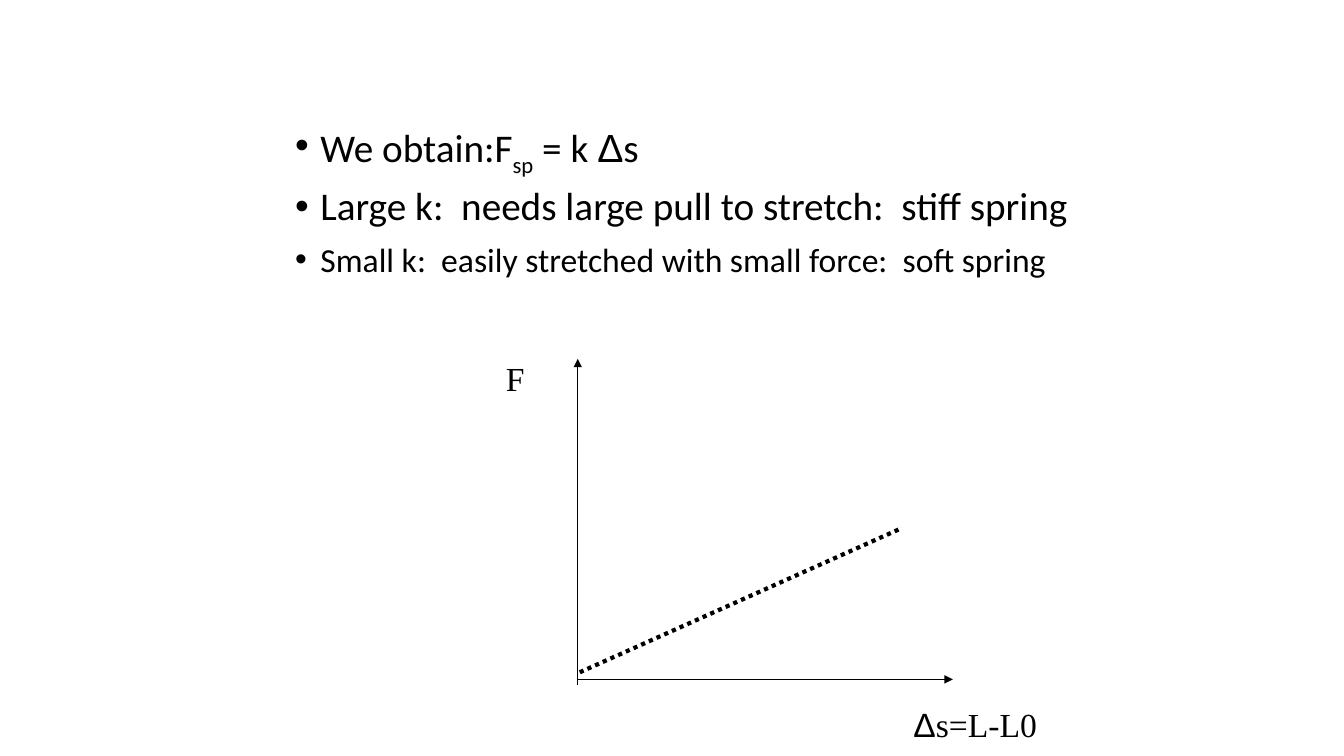
from dataclasses import dataclass

from lxml.etree import SubElement
from pptx import Presentation
from pptx.dml.color import RGBColor
from pptx.enum.dml import MSO_LINE
from pptx.enum.shapes import MSO_CONNECTOR, MSO_SHAPE
from pptx.enum.text import MSO_ANCHOR, PP_ALIGN
from pptx.oxml.ns import qn
from pptx.util import Inches, Pt


@dataclass(frozen=True)
class Theme:
    ink: RGBColor = RGBColor(0, 0, 0)
    paper: RGBColor = RGBColor(255, 255, 255)
    body_font: str = "Calibri"
    symbol_font: str = "Arial"
    label_font: str = "Times New Roman"
    large: int = 28
    medium: int = 24
    axis_width: float = 0.75
    graph_width: float = 3


def add_text(paragraph, text, *, font, size, color, baseline=None):
    """Append a formatted run; baseline is a percentage, negative for subscript."""
    run = paragraph.add_run()
    run.text = text
    run.font.name = font
    run.font.size = Pt(size)
    run.font.color.rgb = color
    if baseline is not None:
        run.font._element.set("baseline", str(baseline * 1000))


class SlideBuilder:
    def __init__(self, slide, theme):
        self.slide = slide
        self.theme = theme

    def bullets(self, items, left, top, width, height):
        """Add a bulleted list; each item is (size, [(text, font, baseline), ...])."""
        box = self.slide.shapes.add_textbox(
            Inches(left), Inches(top), Inches(width), Inches(height))
        frame = box.text_frame
        frame.word_wrap = True
        for index, (size, parts) in enumerate(items):
            paragraph = frame.add_paragraph() if index else frame.paragraphs[0]
            paragraph.line_spacing = 0.9
            paragraph.space_before = Pt(10)
            properties = paragraph._p.get_or_add_pPr()
            properties.set("marL", str(Inches(0.25)))
            properties.set("indent", str(Inches(-0.25)))
            SubElement(properties, qn("a:buFont"), typeface=self.theme.symbol_font)
            SubElement(properties, qn("a:buChar"), char="•")
            for text, font, baseline in parts:
                add_text(paragraph, text, font=font, size=size,
                         color=self.theme.ink, baseline=baseline)

    def label(self, parts, left, top, width, height):
        """Add an axis label; parts are (text, font) pairs."""
        shape = self.slide.shapes.add_shape(
            MSO_SHAPE.RECTANGLE, Inches(left), Inches(top), Inches(width), Inches(height))
        shape.shadow.inherit = False
        shape.fill.solid()
        shape.fill.fore_color.rgb = self.theme.paper
        shape.line.fill.background()
        frame = shape.text_frame
        frame.word_wrap = True
        frame.vertical_anchor = MSO_ANCHOR.TOP
        paragraph = frame.paragraphs[0]
        paragraph.alignment = PP_ALIGN.LEFT
        for text, font in parts:
            add_text(paragraph, text, font=font, size=self.theme.medium,
                     color=self.theme.ink)

    def line(self, start, end, width, dash=None, arrow=False):
        connector = self.slide.shapes.add_connector(
            MSO_CONNECTOR.STRAIGHT, *map(Inches, start + end))
        connector.line.color.rgb = self.theme.ink
        connector.line.width = Pt(width)
        if dash is not None:
            connector.line.dash_style = dash
        if arrow:
            SubElement(connector.line._get_or_add_ln(), qn("a:tailEnd"), type="triangle")
        SubElement(connector._element.spPr, qn("a:effectLst"))


def main():
    presentation = Presentation()
    presentation.slide_width = Inches(13.33)
    presentation.slide_height = Inches(7.5)
    slide = presentation.slides.add_slide(presentation.slide_layouts[6])
    theme = Theme()
    builder = SlideBuilder(slide, theme)

    body, symbol = theme.body_font, theme.symbol_font
    builder.bullets([
        (theme.large, [("We obtain:F", body, None), ("sp", body, -30),
                       (" = k ", body, None), ("Δ", symbol, None), ("s", body, None)]),
        (theme.large, [("Large k:  needs large pull to stretch:  stiff spring", body, None)]),
        (theme.medium, [("Small k:  easily stretched with small force:  soft spring",
                         body, None)]),
    ], 2.83, 1.17, 8.33, 4.5)

    axis_x, axis_y = 5.73, 6.74
    builder.line((axis_x, 6.8), (axis_x, 3.56), theme.axis_width, arrow=True)
    builder.line((axis_x, axis_y), (9.45, axis_y), theme.axis_width, arrow=True)
    builder.label([("F", theme.label_font)], 4.92, 3.5, 0.49, 0.57)
    builder.label([("Δ", symbol), ("s=L-L0", theme.label_font)], 8.96, 6.93, 1.62, 0.57)
    builder.line((5.75, 6.67), (8.92, 5.25), theme.graph_width,
                 dash=MSO_LINE.ROUND_DOT)

    presentation.save("out.pptx")


if __name__ == "__main__":
    main()
